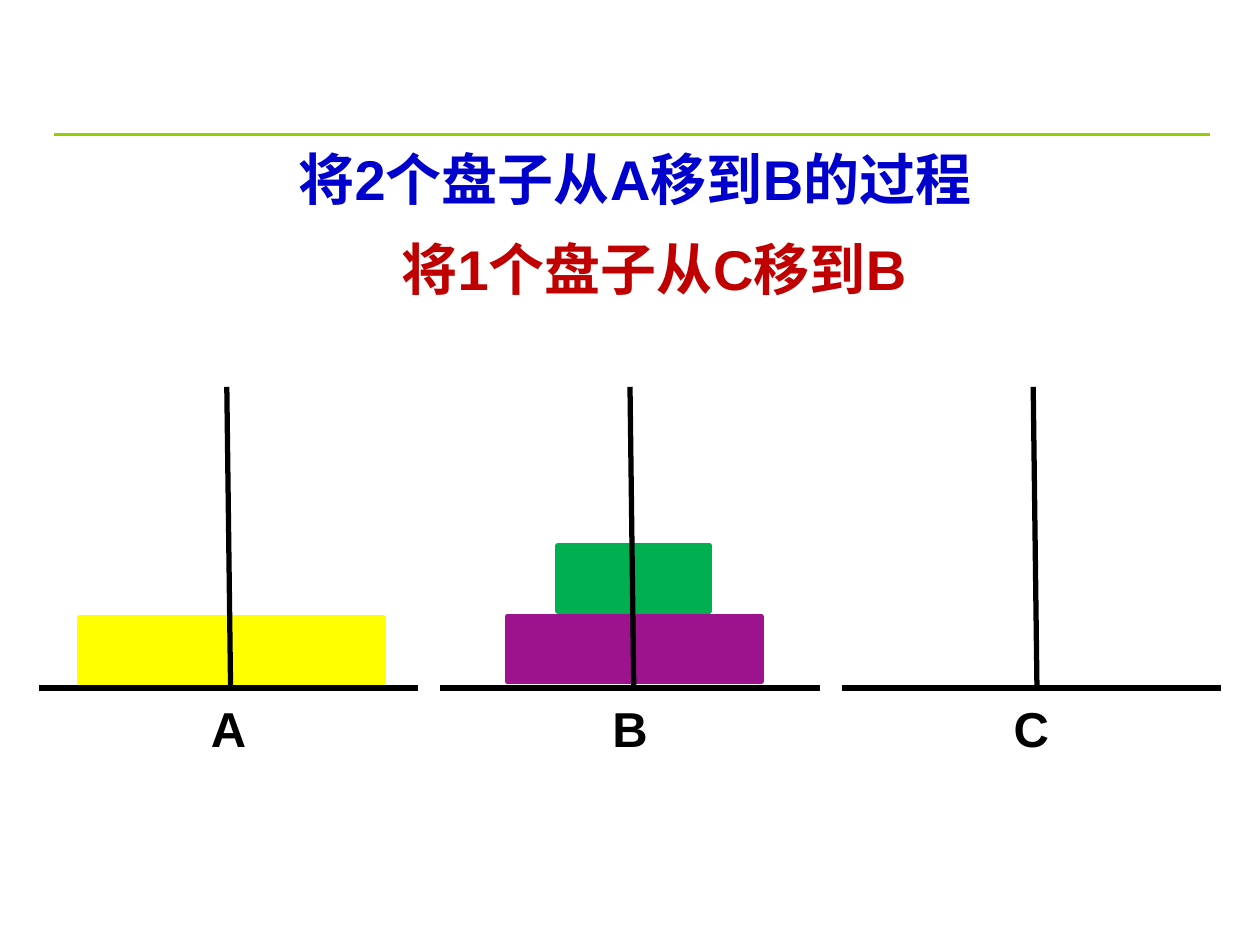
from lxml import etree
from pptx import Presentation
from pptx.dml.color import RGBColor
from pptx.enum.shapes import MSO_CONNECTOR, MSO_SHAPE
from pptx.enum.text import MSO_ANCHOR, MSO_AUTO_SIZE, PP_ALIGN
from pptx.oxml.ns import qn
from pptx.util import Inches, Pt

STRAIGHT = MSO_CONNECTOR.STRAIGHT
DISC = MSO_SHAPE.FLOWCHART_PROCESS
TOP = MSO_ANCHOR.TOP
FIXED = MSO_AUTO_SIZE.NONE
CENTER = PP_ALIGN.CENTER

BLACK = "000000"
BASE_Y = 5.46
PEG_TOP = 3.07


def color(code):
    return RGBColor.from_string(code)


class Board:
    """Draws on one slide in a single style."""

    def __init__(self, slide, font="Arial", width=3):
        self.slide = slide
        self.shapes = slide.shapes
        self.font = font
        self.width = width

    def line(self, x1, y1, x2, y2, code=BLACK, width=None):
        ends = [Inches(v) for v in (x1, y1, x2, y2)]
        line = self.shapes.add_connector(STRAIGHT, *ends)
        line.line.color.rgb = color(code)
        line.line.width = Pt(width or self.width)
        etree.SubElement(line._element.spPr, qn("a:effectLst"))

    def disc(self, left, top, width, code, height=0.52):
        disc = self.shapes.add_shape(
            DISC, Inches(left), Inches(top), Inches(width), Inches(height))
        disc.shadow.inherit = False
        disc.fill.solid()
        disc.fill.fore_color.rgb = color(code)
        disc.line.color.rgb = color(code)
        disc.line.width = Pt(self.width)

    def text(self, words, left, top, width, height, size, code, inset=0.05):
        box = self.shapes.add_textbox(0, 0, 0, 0)
        self.style(box, words, left, top, width, height, size, code, inset)

    def title(self, words, left, top, width, height, size, code, inset=0.05):
        box = self.shapes.title
        self.style(box, words, left, top, width, height, size, code, inset)

    def style(self, box, words, left, top, width, height, size, code, inset):
        """Place a text holder and format its one paragraph."""
        box.left, box.top = Inches(left), Inches(top)
        box.width, box.height = Inches(width), Inches(height)
        frame = box.text_frame
        frame.text = words
        frame.word_wrap = True
        frame.auto_size = FIXED
        frame.vertical_anchor = TOP
        frame.margin_left = frame.margin_right = Inches(0.1)
        frame.margin_top = Inches(inset)
        frame.margin_bottom = Inches(0.05)
        para = frame.paragraphs[0]
        para.alignment = CENTER
        para.line_spacing = Pt(24)
        para.space_before = Pt(0)
        font = para.runs[0].font
        font.name = self.font
        font.size = Pt(size)
        font.bold = True
        font.color.rgb = color(code)


def main():
    deck = Presentation()
    deck.slide_width, deck.slide_height = Inches(10), Inches(7.5)
    board = Board(deck.slides.add_slide(deck.slide_layouts[5]))

    board.line(0.43, 1.07, 9.6, 1.07, "99CC00", 1.5)
    board.title("将2个盘子从A移到B的过程",
                1.72, 1.11, 6.64, 0.7, 32, "0000CC", 0.24)
    board.text("将1个盘子从C移到B",
               2.73, 1.82, 4.92, 0.7, 32, "C00000", 0.24)

    for left, top, width, code in (
        (0.63, 4.9, 2.41, "FFFF00"),
        (4.03, 4.89, 2.01, "9D138D"),
        (4.43, 4.33, 1.2, "00B050"),
    ):
        board.disc(left, top, width, code)

    for i, name in enumerate("ABC"):
        base = 0.31 + 3.185 * i
        peg = 1.8 + 3.2 * i
        board.line(base, BASE_Y, base + 3.01, BASE_Y)
        board.line(peg + 0.03, BASE_Y, peg, PEG_TOP)
        board.text(name, base + 1.12, 5.63, 0.77, 0.49, 28, BLACK)

    deck.save("out.pptx")


if __name__ == "__main__":
    main()
